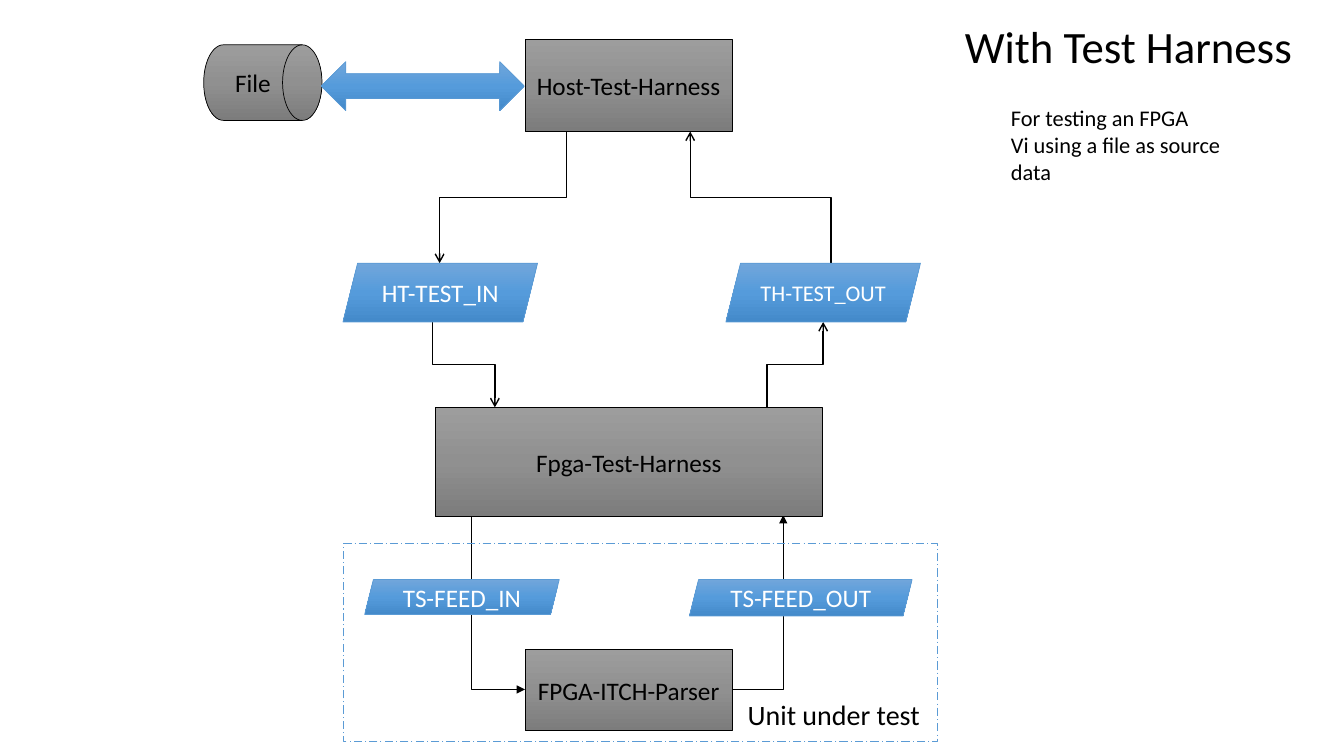
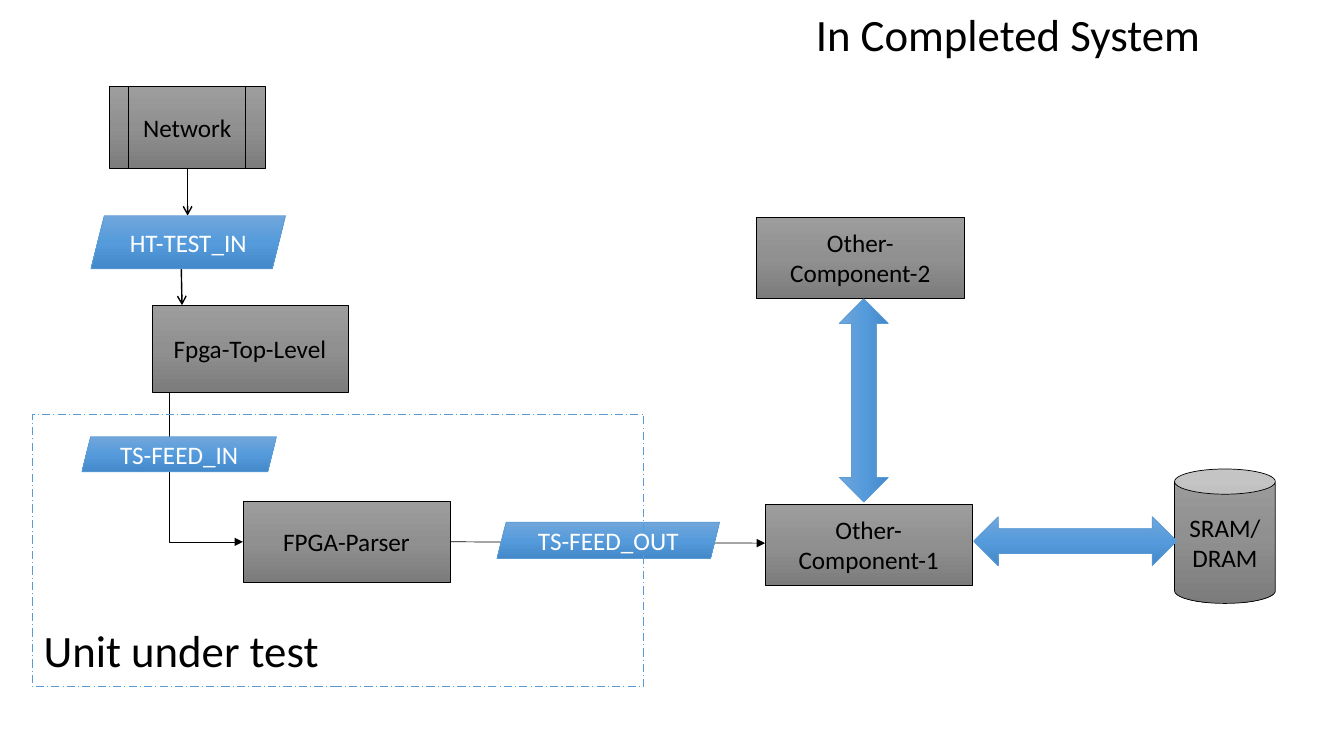
from copy import deepcopy

from pptx import Presentation
from pptx.dml.color import RGBColor
from pptx.enum.dml import MSO_LINE
from pptx.enum.shapes import MSO_CONNECTOR, MSO_SHAPE
from pptx.enum.text import MSO_ANCHOR, MSO_AUTO_SIZE, PP_ALIGN
from pptx.oxml.ns import qn
from pptx.util import Pt

RECT = MSO_SHAPE.RECTANGLE
FEED = MSO_SHAPE.PARALLELOGRAM
DRUM = MSO_SHAPE.FLOWCHART_DIRECT_ACCESS_STORAGE
CAN = MSO_SHAPE.CAN
PROCESS = MSO_SHAPE.FLOWCHART_PREDEFINED_PROCESS
ARROW = MSO_SHAPE.LEFT_RIGHT_ARROW
ELBOW, STRAIGHT = MSO_CONNECTOR.ELBOW, MSO_CONNECTOR.STRAIGHT
CENTER, LEFT = PP_ALIGN.CENTER, PP_ALIGN.LEFT
TOP, MIDDLE = MSO_ANCHOR.TOP, MSO_ANCHOR.MIDDLE
FIT = MSO_AUTO_SIZE.SHAPE_TO_FIT_TEXT
LONG_DASH_DOT = MSO_LINE.LONG_DASH_DOT

FONT = "Calibri"
COLORS = {"black": "000000", "white": "FFFFFF", "blue": "5B9BD5"}
GRADIENTS = {
    "gray": ("9D9D9D", "909090", "7C7C7C"),
    "blue": ("71A6DB", "559BDB", "448ACA"),
}
TITLE_ONLY = 5
BOX_W, BOX_H = 148, 58
FEED_W, FEED_OUT_W = 139, 159
ARROW_W, ARROW_H = 145, 35


def add_node(page, kind, text, left, top, width, height, size=18, rotation=0):
    """Add a gradient shape: blue for feeds and arrows, gray for components."""
    blue = kind in (FEED, ARROW)
    node = page.shapes.add_shape(kind, Pt(left), Pt(top), Pt(width), Pt(height))
    node.shadow.inherit = False
    node.rotation = rotation
    node.fill.gradient()
    node.fill.gradient_angle = 270
    stops = node.element.spPr.find(".//" + qn("a:gsLst"))
    stops.insert(1, deepcopy(stops[0]))
    shades = GRADIENTS["blue" if blue else "gray"]
    for stop, position, shade in zip(node.fill.gradient_stops, (0, 0.5, 1), shades):
        stop.position = position
        stop.color.rgb = RGBColor.from_string(shade)
    node.line.color.rgb = RGBColor.from_string(COLORS["blue" if blue else "black"])
    node.line.width = Pt(0.5)
    if text:
        node.text_frame.text = text
        node.text_frame.vertical_anchor = MIDDLE
        for para in node.text_frame.paragraphs:
            para.alignment = CENTER
            para.font.name, para.font.size = FONT, Pt(size)
            para.font.color.rgb = RGBColor.from_string(COLORS["white" if blue else "black"])


def add_link(page, route, x1, y1, x2, y2, weight, head):
    """Add an arrow: "line", "step" (down-across-down), "down" or "across" first."""
    turn = 0
    if route in ("step", "down"):
        # A turned elbow lies in a box with swapped sides around the same centre.
        turn = 90 if y2 > y1 else 270
        side = 1 if turn == 90 else -1
        middle_x, middle_y = (x1 + x2) / 2, (y1 + y2) / 2
        half_w, half_h = abs(y2 - y1) / 2, side * (x1 - x2) / 2
        x1, x2 = middle_x - half_w, middle_x + half_w
        y1, y2 = middle_y - half_h, middle_y + half_h
    link = page.shapes.add_connector(
        STRAIGHT if route == "line" else ELBOW, Pt(x1), Pt(y1), Pt(x2), Pt(y2))
    properties = link.element.spPr
    if turn:
        properties.find(qn("a:xfrm")).set("rot", str(turn * 60000))
    if route in ("down", "across"):
        properties.find(qn("a:prstGeom")).set("prst", "bentConnector2")
    link.line.color.rgb = RGBColor.from_string(COLORS["black"])
    link.line.width = Pt(weight)
    tail = properties.makeelement(qn("a:tailEnd"), {"type": head})
    properties.find(qn("a:ln")).append(tail)
    properties.append(properties.makeelement(qn("a:effectLst"), {}))


# The first text of each page is its title.
PAGES = [
    {
        "texts": [
            ("With Test Harness", 682, 9.5, 253.5, 46, 32),
            ("Unit under test", 527, 494.5, 139, 32, 20),
            ("For testing an FPGA\nVi using a file as source\ndata", 715, 71, 166, 68, 16),
        ],
        "links": [
            ("step", 404.5, 94, 314, 188, 1, "arrow"),
            ("step", 309, 230, 353.5, 291, 1, "arrow"),
            ("step", 548, 291, 588, 230, 1, "arrow"),
            ("step", 593.5, 188, 493, 94, 1, "arrow"),
            ("down", 337, 368, 375, 492.5, 0.5, "triangle"),
            ("across", 523, 492.5, 559.5, 368, 0.5, "triangle"),
        ],
        "nodes": [
            (DRUM, "File", 145.5, 32, 84.5, 54),
            (ARROW, "", 229.5, 44, ARROW_W, ARROW_H),
            (RECT, "Host-Test-Harness", 375, 28, BOX_W, 66),
            (FEED, "HT-TEST_IN", 245, 188, FEED_W, 42),
            (FEED, "TH-TEST_OUT", 518.5, 188, FEED_W, 42, 16),
            (RECT, "Fpga-Test-Harness", 311, 291, 276.5, 78),
            (FEED, "TS-FEED_IN", 260.5, 414, FEED_W, 25),
            (FEED, "TS-FEED_OUT", 492.5, 414, FEED_OUT_W, 26),
            (RECT, "FPGA-ITCH-Parser", 375, 464, BOX_W, BOX_H),
        ],
        "boundary": (245.5, 388, 424, 142),
    },
    {
        "texts": [
            ("In Completed System", 575.5, 1.5, 294, 46, 32),
            ("Unit under test", 24, 441, 214, 46, 32),
        ],
        "links": [
            ("line", 134, 120, 134, 154, 1, "arrow"),
            ("line", 129.5, 192, 130, 218, 1, "arrow"),
            ("down", 121, 280, 173.5, 387, 0.5, "triangle"),
            ("line", 320.5, 387, 546.5, 388, 0.5, "triangle"),
        ],
        "nodes": [
            (PROCESS, "Network", 78, 62, 111.5, BOX_H),
            (FEED, "HT-TEST_IN", 65, 154, FEED_W, 38),
            (RECT, "Fpga-Top-Level", 108.5, 218, 140, 62),
            (FEED, "TS-FEED_IN", 58.5, 312, FEED_W, 25),
            (RECT, "FPGA-Parser", 173.5, 358, BOX_W, BOX_H),
            (FEED, "TS-FEED_OUT", 355, 373, FEED_OUT_W, 26),
            (RECT, "Other-Component-1", 546.5, 360, BOX_W, BOX_H),
            (RECT, "Other-Component-2", 540.5, 155, BOX_W, BOX_H),
            (CAN, "SRAM/\nDRAM", 839, 335, 72, 96),
            (ARROW, "", 695.5, 369, ARROW_W, ARROW_H),
            (ARROW, "", 544.5, 268.5, ARROW_W, ARROW_H, 18, 270),
        ],
        "boundary": (23, 296, 437, 194.5),
    },
]

deck = Presentation()
deck.slide_width, deck.slide_height = Pt(960), Pt(540)

for content in PAGES:
    page = deck.slides.add_slide(deck.slide_layouts[TITLE_ONLY])
    for link in content["links"]:
        add_link(page, *link)
    for node in content["nodes"]:
        add_node(page, *node)

    boundary = page.shapes.add_shape(RECT, *map(Pt, content["boundary"]))
    boundary.shadow.inherit = False
    boundary.fill.background()
    boundary.line.color.rgb = RGBColor.from_string(COLORS["blue"])
    boundary.line.width = Pt(0.75)
    boundary.line.dash_style = LONG_DASH_DOT

    for number, (text, left, top, width, height, size) in enumerate(content["texts"]):
        place = Pt(left), Pt(top), Pt(width), Pt(height)
        if number == 0:
            box = page.shapes.title
            box.left, box.top, box.width, box.height = place
        else:
            box = page.shapes.add_textbox(*place)
        frame = box.text_frame
        frame.text = text
        frame.word_wrap = False
        frame.auto_size = FIT
        frame.vertical_anchor = TOP
        for para in frame.paragraphs:
            para.alignment = LEFT
            para.font.name, para.font.size = FONT, Pt(size)
            para.font.color.rgb = RGBColor.from_string(COLORS["black"])

deck.save("out.pptx")
